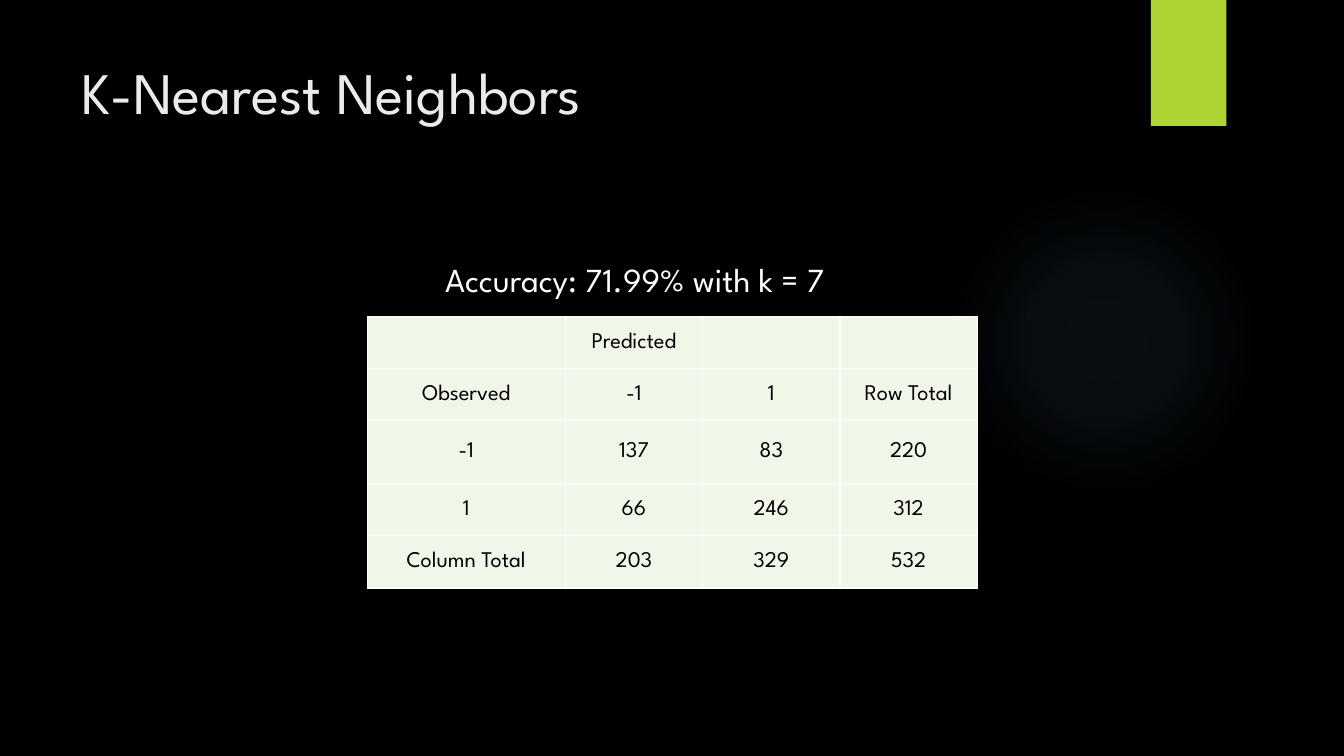
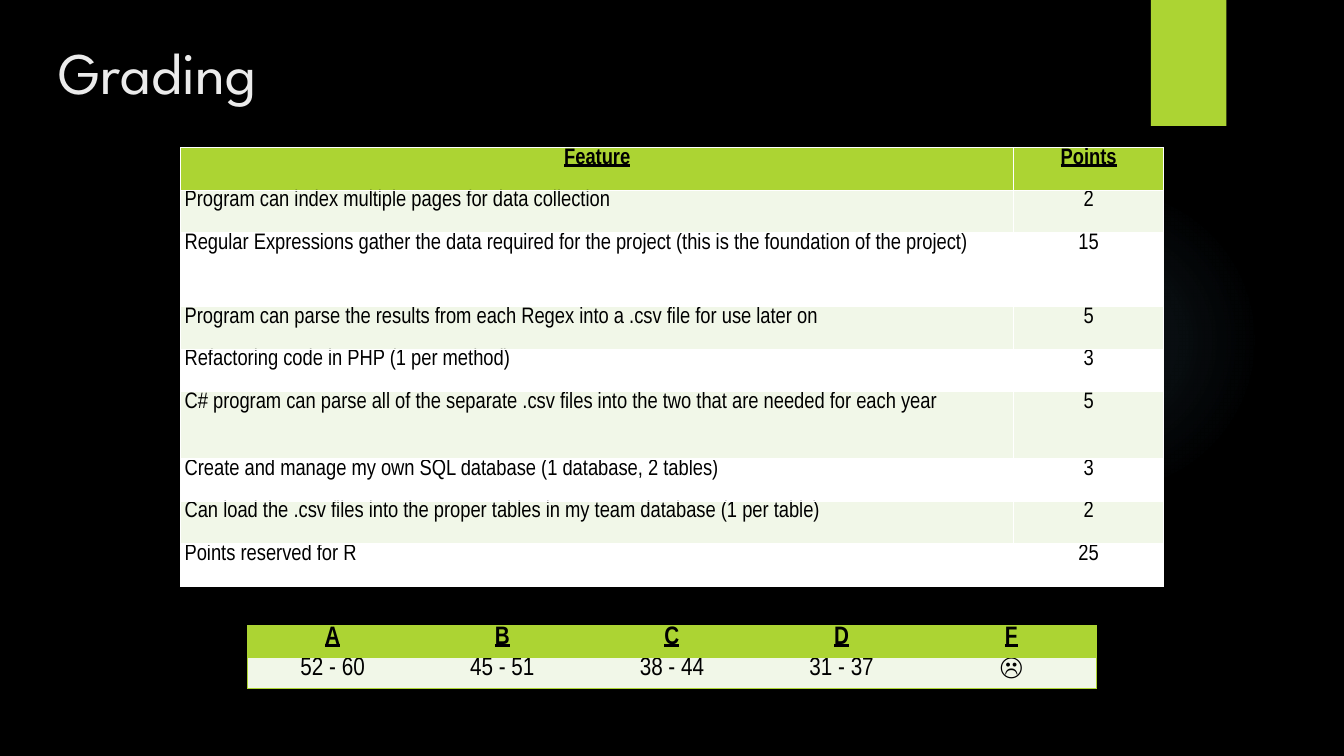
from lxml import etree
from pptx import Presentation, util as u
from pptx.dml.color import RGBColor
from pptx.enum import shapes, text
from pptx.oxml import parse_xml
from pptx.oxml.ns import qn

COLORS = {"black": "000000", "white": "FFFFFF", "title": "EBEBEB",
          "lime": "ACD433", "pale": "F1F7E8", "glow": "7AC4F0"}
DISPLAY, NARROW = "League Spartan", "Arial Narrow"
COLUMNS, ROWS = 160, 90
SLIDE_WIDTH, SLIDE_HEIGHT = u.Inches(13.33), u.Inches(7.5)
A_NS = "http://schemas.openxmlformats.org/drawingml/2006/main"
LEFT, CENTER = text.PP_ALIGN.LEFT, text.PP_ALIGN.CENTER
TOP, MIDDLE = text.MSO_ANCHOR.TOP, text.MSO_ANCHOR.MIDDLE

CONFUSION = [
    ["", "Predicted", "", ""],
    ["Observed", "-1", "1", "Row Total"],
    ["-1", "137", "83", "220"],
    ["1", "66", "246", "312"],
    ["Column Total", "203", "329", "532"],
]
FEATURES = [
    ["Feature", "Points"],
    ["Program can index multiple pages for data collection", "2"],
    ["Regular Expressions gather the data required for the project "
     "(this is the foundation of the project)", "15"],
    ["Program can parse the results from each Regex into a .csv file for use later on", "5"],
    ["Refactoring code in PHP (1 per method)", "3"],
    ["C# program can parse all of the separate .csv files into the two "
     "that are needed for each year", "5"],
    ["Create and manage my own SQL database (1 database, 2 tables)", "3"],
    ["Can load the .csv files into the proper tables in my team database (1 per table)", "2"],
    ["Points reserved for R", "25"],
]
GRADES = [
    ["A", "B", "C", "D", "F"],
    ["52 - 60", "45 - 51", "38 - 44", "31 - 37", "☹"],
]


def across(columns):
    """Turn grid columns into a length."""
    return int(SLIDE_WIDTH * columns / COLUMNS)


def down(rows):
    """Turn grid rows into a length."""
    return int(SLIDE_HEIGHT * rows / ROWS)


def place(box):
    """Turn a grid box into left, top, width and height."""
    left, top, width, height = box
    return across(left), down(top), across(width), down(height)


def color(name):
    """Look up a named colour."""
    return RGBColor.from_string(COLORS[name])


def write(frame, words, *, size, font, ink="black", bold=False,
          underline=False, align=LEFT):
    """Write one formatted paragraph into a text frame."""
    para = frame.paragraphs[0]
    para.alignment = align
    span = para.add_run()
    span.text = words
    span.font.size = u.Pt(size)
    span.font.name = font
    span.font.bold = bold
    span.font.underline = underline
    span.font.color.rgb = color(ink)


def add_label(page, box, words, **style):
    """Add a wrapping text box."""
    frame = page.shapes.add_textbox(*place(box)).text_frame
    frame.word_wrap = True
    write(frame, words, font=DISPLAY, **style)


def add_plain_shape(page, kind, box, fill):
    """Add a preset shape without line or shadow."""
    shape = page.shapes.add_shape(kind, *place(box))
    shape.shadow.inherit = False
    shape.line.fill.background()
    shape.fill.solid()
    shape.fill.fore_color.rgb = color(fill)
    return shape


def add_glow(page, box):
    """Add a round glow that fades outwards."""
    glow = add_plain_shape(page, shapes.MSO_SHAPE.OVAL, box, "glow")
    stops = "".join(
        f'<a:gs pos="{at * 1000}"><a:srgbClr val="{COLORS["glow"]}">'
        f'<a:alpha val="{alpha * 1000}"/></a:srgbClr></a:gs>'
        for at, alpha in ((0, 7), (36, 6), (69, 0), (100, 0)))
    gradient = parse_xml(
        f'<a:gradFill xmlns:a="{A_NS}" rotWithShape="1"><a:gsLst>{stops}</a:gsLst>'
        '<a:path path="circle"><a:fillToRect l="50000" t="50000" r="50000" b="50000"/>'
        '</a:path></a:gradFill>')
    properties = glow._element.spPr
    properties.replace(properties.find(qn("a:solidFill")), gradient)


def set_borders(cell, borders):
    """Draw the sides L, R, T and B of a cell; None hides a side."""
    properties = cell._tc.get_or_add_tcPr()
    for side in "LRTB":
        line = etree.SubElement(properties, qn(f"a:ln{side}"), w=str(u.Pt(1)))
        if borders[side]:
            fill = etree.SubElement(line, qn("a:solidFill"))
            etree.SubElement(fill, qn("a:srgbClr"), val=COLORS[borders[side]])
        else:
            etree.SubElement(line, qn("a:noFill"))


def add_grid(page, corner, widths, heights, rows, *, fills, borders, size, font,
             inset, anchor=TOP, header=False, left_columns=()):
    """Add a table; fills and borders are rules for each row and column."""
    box = (*corner, sum(widths), sum(heights))
    table = page.shapes.add_table(len(rows), len(widths), *place(box)).table
    table.first_row = table.horz_banding = False
    for column, width in zip(table.columns, widths):
        column.width = across(width)
    for r, (row, height) in enumerate(zip(rows, heights)):
        table.rows[r].height = down(height)
        heading = header and r == 0
        for c, words in enumerate(row):
            cell = table.cell(r, c)
            set_borders(cell, borders(c))
            cell.fill.solid()
            cell.fill.fore_color.rgb = color(fills(r))
            cell.margin_left = cell.margin_right = u.Inches(inset)
            cell.margin_top = cell.margin_bottom = 0
            cell.vertical_anchor = anchor
            if words:
                align = LEFT if c in left_columns and not heading else CENTER
                write(cell.text_frame, words, size=size, font=font,
                      bold=heading, underline=heading, align=align)


def white_lines(column):
    """Give every cell white sides."""
    return dict.fromkeys("LRTB", "white")


def grade_lines(column):
    """Frame the grade rows in lime without lines between columns."""
    last = len(GRADES[0]) - 1
    return {"L": "lime" if column == 0 else None,
            "R": "lime" if column == last else None, "T": "lime", "B": "lime"}


def banded(row):
    """Name the fill of a row under a lime header."""
    return "lime" if row == 0 else ("pale" if row % 2 else "white")


def add_page(deck, title, left, top):
    """Add a slide with the shared background, glow, band and title."""
    page = deck.slides.add_slide(deck.slide_layouts[6])
    page.background.fill.solid()
    page.background.fill.fore_color.rgb = color("black")
    add_glow(page, (113, 22, 37, 37))
    add_plain_shape(page, shapes.MSO_SHAPE.RECTANGLE, (137, 0, 9, 15), "lime")
    add_label(page, (left, top, 123.5, 18.4), title, size=42, ink="title")
    return page


def add_neighbors_page(deck):
    """Add the slide with the confusion matrix."""
    page = add_page(deck, "K-Nearest Neighbors", 8.5, 6)
    add_grid(page, (43.7, 37.7), [23.6] + [16.35] * 3, [6.2, 6.2, 7.5, 6.2, 6.2],
             CONFUSION, fills=lambda row: "pale", borders=white_lines,
             size=16, font=DISPLAY, inset=0.01, anchor=MIDDLE)
    add_label(page, (51.8, 30.2, 56.4, 6), "Accuracy: 71.99% with k = 7",
              size=24, ink="white")


def add_grading_page(deck):
    """Add the slide with the grade scale and the feature points."""
    page = add_page(deck, "Grading", 5.8, 3.7)
    add_grid(page, (29.5, 74.5), [20.2] * 5, [3.75] * 2, GRADES, fills=banded,
             borders=grade_lines, size=18, font=NARROW, inset=0.04, header=True)
    heights = [8.8 if row == 2 else 8 if row == 5 else 5.06
               for row in range(len(FEATURES))]
    add_grid(page, (21.5, 17.6), [99.2, 17.8], heights, FEATURES, fills=banded,
             borders=white_lines, size=16, font=NARROW, inset=0.04, header=True,
             left_columns=(0,))


def main():
    """Build and save the deck."""
    deck = Presentation()
    deck.slide_width, deck.slide_height = SLIDE_WIDTH, SLIDE_HEIGHT
    add_neighbors_page(deck)
    add_grading_page(deck)
    deck.save("out.pptx")


if __name__ == "__main__":
    main()
